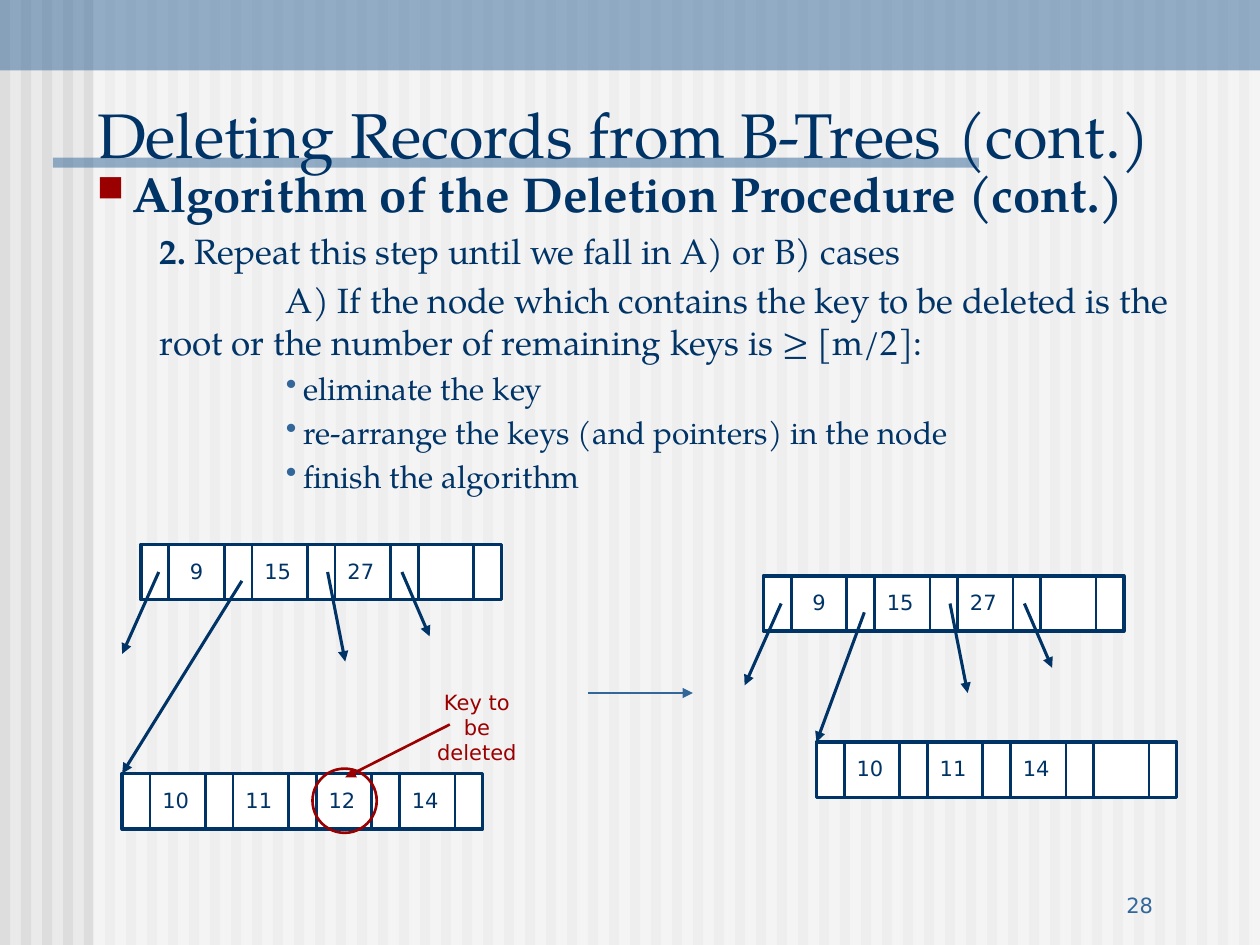
from dataclasses import dataclass

from lxml.etree import SubElement
from pptx import Presentation
from pptx.dml.color import RGBColor
from pptx.enum.shapes import MSO_CONNECTOR, MSO_SHAPE
from pptx.enum.text import MSO_ANCHOR, MSO_AUTO_SIZE, PP_ALIGN
from pptx.oxml.ns import qn
from pptx.util import Inches, Pt


@dataclass(frozen=True)
class Theme:
    paper: str = "EAEAEA"
    stripe: str = "DDDDDD"
    white: str = "FFFFFF"
    navy: str = "003366"
    blue: str = "336699"
    red: str = "9A0000"
    serif: str = "TeX Gyre Pagella"
    sans: str = "DejaVu Sans"
    title: int = 36
    heading: int = 28
    step: int = 20
    action: int = 18
    label: int = 12


@dataclass(frozen=True)
class Bullet:
    mark: str
    color: str
    percent: int = 100


@dataclass(frozen=True)
class OutlineItem:
    runs: tuple  # (text, bold) pairs
    size: int
    margin: float
    indent: float
    level: int = 0
    bullet: Bullet | None = None


@dataclass(frozen=True)
class Node:
    left: float
    top: float
    keys: tuple


THEME = Theme()

# A node alternates narrow pointer cells with wide key cells
POINTER_W, KEY_W, NODE_H, KEY_SLOTS = 0.22, 0.44, 0.44, 4
PITCH = POINTER_W + KEY_W
NODE_W = KEY_SLOTS * PITCH + POINTER_W

# Pointers to subtrees that are not shown: start and end, from the node corner
OPEN_POINTERS = (
    (0.14, 0.22, -0.15, 0.87),
    (1.48, 0.22, 1.62, 0.93),
    (2.07, 0.22, 2.29, 0.73),
)
CHILD_POINTER_START = (0.8, 0.29)

TREES = (
    (Node(1.12, 4.32, ("9", "15", "27")), Node(0.97, 6.14, ("10", "11", "12", "14"))),
    (Node(6.06, 4.57, ("9", "15", "27")), Node(6.48, 5.89, ("10", "11", "14"))),
)

ACTIONS = (
    "eliminate the key",
    "re-arrange the keys (and pointers) in the node",
    "finish the algorithm",
)
OUTLINE = (
    OutlineItem((("Algorithm of the Deletion Procedure (cont.)", True),),
                THEME.heading, 0.28, -0.28, bullet=Bullet("■", THEME.red, 75)),
    OutlineItem((("2. ", True), ("Repeat this step until we fall in A) or B) cases", False)),
                THEME.step, 0.5, 0, level=1),
    OutlineItem((("A) If the node which contains the key to be deleted is the root "
                  "or the number of remaining keys is ≥ [m/2]:", False),),
                THEME.step, 0.5, 1, level=1),
    *(OutlineItem(((action, False),), THEME.action, 1.64, -0.14, level=3,
                  bullet=Bullet("•", THEME.blue)) for action in ACTIONS),
)


def rgb(color: str) -> RGBColor:
    return RGBColor.from_string(color)


def add_block(slide, kind, box: tuple, fill: str | None = None, alpha: int = 100,
              line: str | None = None, width: float = 1) -> None:
    block = slide.shapes.add_shape(kind, *map(Inches, box))
    block.shadow.inherit = False
    if fill:
        block.fill.solid()
        block.fill.fore_color.rgb = rgb(fill)
        if alpha < 100:
            color = block.fill._xPr.find(".//" + qn("a:srgbClr"))
            SubElement(color, qn("a:alpha"), val=str(alpha * 1000))
    else:
        block.fill.background()
    if line:
        block.line.color.rgb = rgb(line)
        block.line.width = Pt(width)
    else:
        block.line.fill.background()


def add_line(slide, start: tuple, end: tuple, color: str, width: float,
             arrow: bool = True) -> None:
    line = slide.shapes.add_connector(MSO_CONNECTOR.STRAIGHT, *map(Inches, start + end))
    line.line.color.rgb = rgb(color)
    line.line.width = Pt(width)
    if arrow:
        SubElement(line.line._get_or_add_ln(), qn("a:tailEnd"), type="triangle")
    SubElement(line._element.spPr, qn("a:effectLst"))


def add_run(paragraph, text: str, size: int, font: str, color: str, bold: bool = False) -> None:
    run = paragraph.add_run()
    run.text = text
    run.font.size = Pt(size)
    run.font.name = font
    run.font.bold = bold
    run.font.color.rgb = rgb(color)


def add_frame(slide, box: tuple, anchor=MSO_ANCHOR.TOP):
    frame = slide.shapes.add_textbox(*map(Inches, box)).text_frame
    frame.word_wrap = True
    frame.vertical_anchor = anchor
    return frame


def add_label(slide, box: tuple, text: str, color: str, align=PP_ALIGN.LEFT,
              anchor=MSO_ANCHOR.TOP) -> None:
    paragraph = add_frame(slide, box, anchor).paragraphs[0]
    paragraph.alignment = align
    add_run(paragraph, text, THEME.label, THEME.sans, color)


def add_background(slide) -> None:
    slide.background.fill.solid()
    slide.background.fill.fore_color.rgb = rgb(THEME.paper)
    for index in range(60):
        add_block(slide, MSO_SHAPE.RECTANGLE, (index / 6, 0, 0.08, 7.5), THEME.stripe)
    add_block(slide, MSO_SHAPE.RECTANGLE, (0.74, 0, 9.26, 7.5), THEME.white, 50)
    for band in ((0, 0, 10, 0.56), (0.42, 1.25, 7.35, 0.08)):
        add_block(slide, MSO_SHAPE.RECTANGLE, band, THEME.blue, 50)


def add_title(slide, text: str) -> None:
    title = slide.shapes.title
    slide.shapes._spTree.append(title._element)  # in front of the bands
    title.left, title.top, title.width, title.height = map(Inches, (0.67, 0.58, 9.33, 0.83))
    frame = title.text_frame
    frame.auto_size = MSO_AUTO_SIZE.NONE
    frame.vertical_anchor = MSO_ANCHOR.BOTTOM
    frame.paragraphs[0].alignment = PP_ALIGN.LEFT
    add_run(frame.paragraphs[0], text, THEME.title, THEME.serif, THEME.navy)


def add_outline(slide, items: tuple) -> None:
    frame = add_frame(slide, (0.67, 1.25, 9.25, 2.17))
    for index, item in enumerate(items):
        paragraph = frame.add_paragraph() if index else frame.paragraphs[0]
        paragraph.level = item.level
        paragraph.space_before = Pt(item.size * 0.2)
        props = paragraph._p.get_or_add_pPr()
        props.set("marL", str(Inches(item.margin)))
        props.set("indent", str(Inches(item.indent)))
        if item.bullet:
            color = SubElement(props, qn("a:buClr"))
            SubElement(color, qn("a:srgbClr"), val=item.bullet.color)
            SubElement(props, qn("a:buSzPct"), val=str(item.bullet.percent * 1000))
            SubElement(props, qn("a:buChar"), char=item.bullet.mark)
        for text, bold in item.runs:
            add_run(paragraph, text, item.size, THEME.serif, THEME.navy, bold)


def add_node(slide, node: Node) -> None:
    add_block(slide, MSO_SHAPE.RECTANGLE, (node.left, node.top, NODE_W, NODE_H),
              THEME.white, line=THEME.navy, width=2)
    for slot in range(KEY_SLOTS):
        key_left = node.left + POINTER_W + slot * PITCH
        for x in (key_left, key_left + KEY_W):
            add_line(slide, (x, node.top + 0.01), (x, node.top + NODE_H),
                     THEME.navy, 1.5, arrow=False)
        if slot < len(node.keys):
            key = node.keys[slot]
            align = PP_ALIGN.CENTER if len(key) == 1 else PP_ALIGN.LEFT
            add_label(slide, (key_left, node.top + 0.06, KEY_W, 0.3), key, THEME.navy, align)


def add_tree(slide, parent: Node, child: Node) -> None:
    add_node(slide, parent)
    add_node(slide, child)
    x, y = parent.left, parent.top
    for x1, y1, x2, y2 in OPEN_POINTERS:
        add_line(slide, (x + x1, y + y1), (x + x2, y + y2), THEME.navy, 1.75)
    dx, dy = CHILD_POINTER_START
    add_line(slide, (x + dx, y + dy), (child.left, child.top), THEME.navy, 1.75)


def main() -> None:
    deck = Presentation()
    deck.slide_width, deck.slide_height = Inches(10), Inches(7.5)
    slide = deck.slides.add_slide(deck.slide_layouts[5])
    add_background(slide)
    add_label(slide, (7.17, 6.83, 2.08, 0.5), "28", THEME.blue, PP_ALIGN.RIGHT, MSO_ANCHOR.BOTTOM)
    add_title(slide, "Deleting Records from B-Trees (cont.)")
    add_outline(slide, OUTLINE)

    # Tree before and after the deletion
    for parent, child in TREES:
        add_tree(slide, parent, child)
    add_line(slide, (4.67, 5.5), (5.5, 5.5), THEME.blue, 1.5)

    # Mark on the key to be deleted
    add_block(slide, MSO_SHAPE.OVAL, (2.48, 6.1, 0.51, 0.51), line=THEME.red, width=1.5)
    add_line(slide, (3.57, 5.75), (2.74, 6.17), THEME.red, 1.5)
    add_label(slide, (3.32, 5.42, 0.93, 0.7), "Key to be deleted", THEME.red, PP_ALIGN.CENTER)
    deck.save("out.pptx")


if __name__ == "__main__":
    main()
